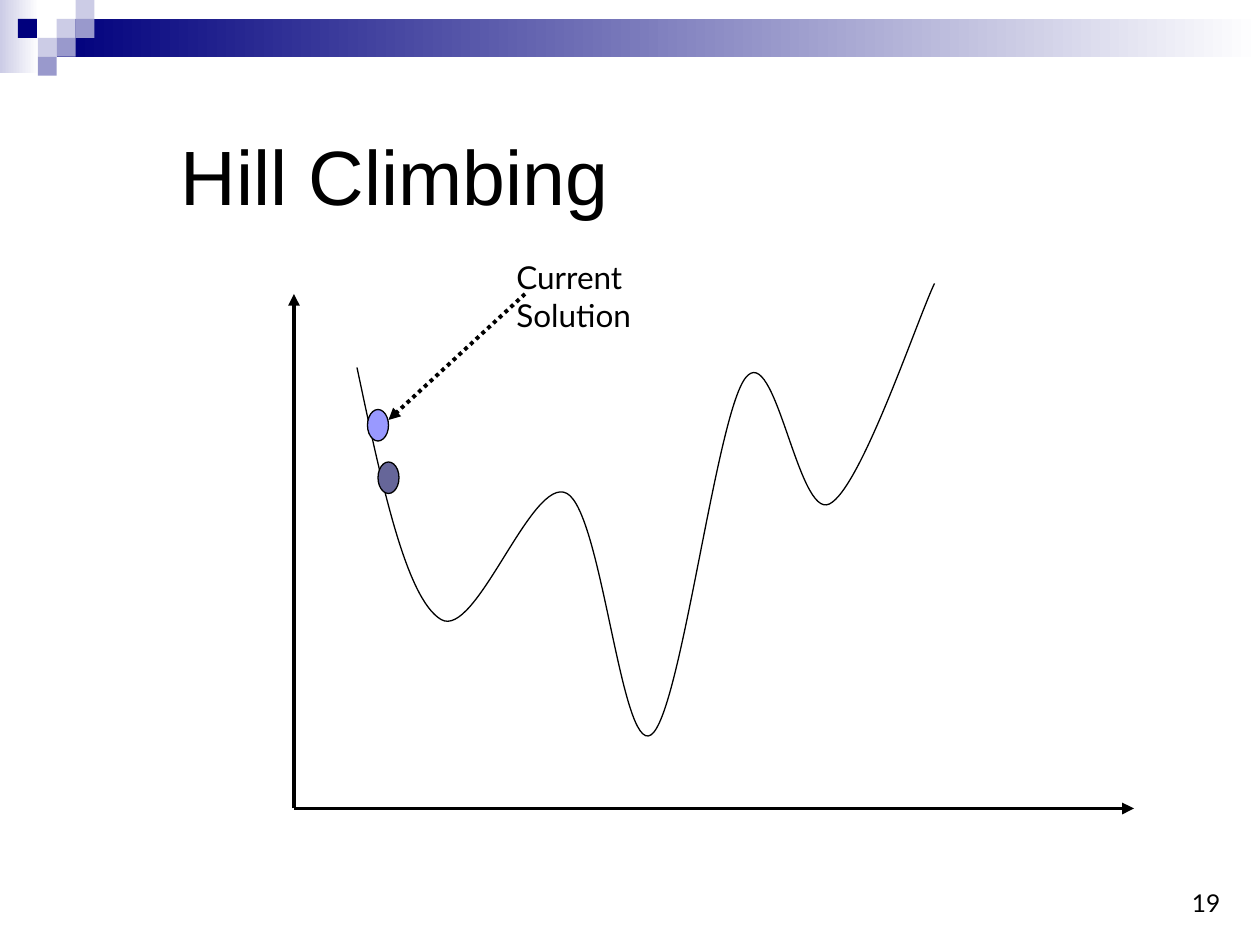
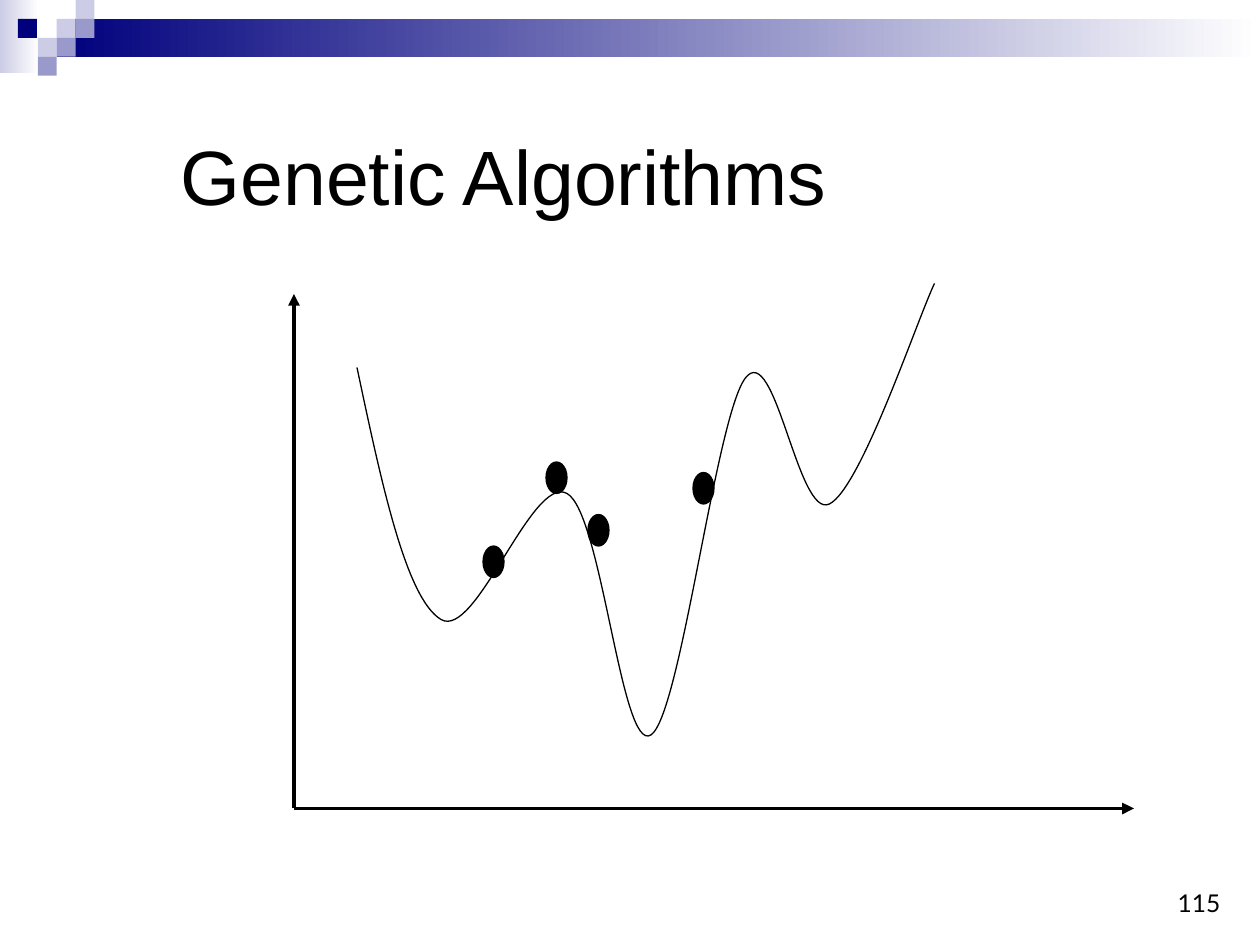
from collections import namedtuple
from dataclasses import dataclass

from lxml.etree import SubElement
from pptx import Presentation
from pptx.dml.color import RGBColor as Color
from pptx.enum.dml import MSO_LINE as Dash
from pptx.enum.shapes import MSO_CONNECTOR as Connector, MSO_SHAPE as Preset
from pptx.enum.text import MSO_ANCHOR as Anchor, MSO_AUTO_SIZE as AutoSize, PP_ALIGN as Align
from pptx.oxml.ns import qn
from pptx.util import Pt

Box = namedtuple("Box", "left top width height")
Marker = namedtuple("Marker", "left top color")


@dataclass(frozen=True)
class Theme:
    """Colours, fonts, type sizes and line widths of the deck."""

    ink: Color = Color.from_string("000000")
    white: Color = Color.from_string("FFFFFF")
    navy: Color = Color.from_string("00007D")
    lavender: Color = Color.from_string("CCCCE6")
    periwinkle: Color = Color.from_string("9999CC")
    current: Color = Color.from_string("9999FF")
    neighbour: Color = Color.from_string("666699")
    title_font: str = "Arial"
    text_font: str = "Lato"
    title_size: float = 44
    label_size: float = 18
    number_size: float = 14
    thin: float = 0.75
    thick: float = 2.25


THEME = Theme()
PAGE = Box(0, 0, 720, 540)
TITLE = Box(96, 67.5, 613.5, 65)
NUMBER = Box(554.5, 492, 150, 36)
PLOT = Box(168, 168, 480, 294)
LABEL = Box(120, -24, 84, 50)
MARKER_SIZE = (12, 18)
SQUARE = 10.8

CURVE_START = (36, 42)
CURVE_SEGMENTS = [
    [(50, 108), (64, 174), (84, 186)],
    [(104, 198), (136, 103), (156, 114)],
    [(176, 125), (187, 263), (204, 252)],
    [(221, 241), (241, 70), (258, 48)],
    [(275, 26), (288, 129), (306, 120)],
    [(324, 111), (356, 15), (366, -6)],
]
SEARCH_MARKERS = [Marker(42, 66, THEME.current), Marker(48, 96, THEME.neighbour)]
POPULATION = [
    Marker(left, top, THEME.ink)
    for left, top in [(144, 96), (108, 144), (168, 126), (228, 102)]
]


def points(values):
    """Convert numbers to lengths in points."""
    return [Pt(value) for value in values]


def within(box, *position):
    """Turn a position relative to a box into lengths on the page."""
    return points((box.left + position[0], box.top + position[1]))


def set_values(target, values):
    """Set the attributes of an object from a dict."""
    for name, value in values.items():
        setattr(target, name, value)


def draw_shape(shapes, preset, box, color, outline=None):
    """Add a preset shape with a solid fill and an optional outline."""
    shape = shapes.add_shape(preset, *points(box))
    shape.shadow.inherit = False
    shape.fill.solid()
    shape.fill.fore_color.rgb = color
    if outline is None:
        shape.line.fill.background()
    else:
        shape.line.color.rgb = outline
        shape.line.width = Pt(THEME.thin)
    return shape


def draw_fade(shapes, box, color):
    """Add a rectangle that fades from a colour to white, left to right."""
    fill = draw_shape(shapes, Preset.RECTANGLE, box, color).fill
    fill.gradient()
    fill.gradient_angle = 0
    for stop, shade in zip(fill.gradient_stops, (color, THEME.white)):
        stop.color.rgb = shade


def draw_arrow(page, start, end, dash=None):
    """Add a thick straight line with an arrowhead at its end."""
    arrow = page.shapes.add_connector(Connector.STRAIGHT, *start, *end)
    arrow.line.color.rgb = THEME.ink
    arrow.line.width = Pt(THEME.thick)
    if dash is not None:
        arrow.line.dash_style = dash
    properties = arrow.element.spPr
    SubElement(properties.find(qn("a:ln")), qn("a:tailEnd"), type="triangle")
    SubElement(properties, qn("a:effectLst"))


def write_text(shape, text, size, font, align=Align.LEFT, anchor=Anchor.TOP):
    """Write one formatted paragraph into a shape."""
    frame = shape.text_frame
    frame.text = text
    set_values(frame, {"word_wrap": True, "auto_size": AutoSize.NONE, "vertical_anchor": anchor})
    para = frame.paragraphs[0]
    para.alignment = align
    span = para.runs[0]
    set_values(span.font, {"name": font, "size": Pt(size)})
    span.font.color.rgb = THEME.ink


def decorate_master(page):
    """Build the header band and its squares and move them to the master."""
    group = page.shapes.add_group_shape()
    draw_fade(group.shapes, Box(0, 0, 22.3, 42), THEME.lavender)
    draw_fade(group.shapes, Box(3 * SQUARE, SQUARE, PAGE.width - 3 * SQUARE, 2 * SQUARE), THEME.navy)
    mosaic = {
        THEME.lavender: [(3, 1), (4, 0), (2, 2)],
        THEME.periwinkle: [(4, 1), (3, 2), (2, 3)],
        THEME.navy: [(0.95, 1)],
    }
    for color, cells in mosaic.items():
        for column, row in cells:
            box = Box(column * SQUARE, row * SQUARE, SQUARE, SQUARE)
            draw_shape(group.shapes, Preset.RECTANGLE, box, color)
    for number, properties in enumerate(group.element.xpath(".//p:cNvPr"), 100):
        properties.set("id", str(number))
    master = page.slide_layout.slide_master
    master.shapes.element.insert(2, group.element)


def draw_curve(page, box):
    """Draw the cost landscape as one open Bezier curve."""
    builder = page.shapes.build_freeform(*within(box, *CURVE_START), scale=1.0)
    vertices = [within(box, *point) for segment in CURVE_SEGMENTS for point in segment]
    builder.add_line_segments(vertices, close=False)
    curve = builder.convert_to_shape()
    outline = curve.element.find(".//" + qn("a:path"))
    lines = outline.findall(qn("a:lnTo"))
    for first in range(0, len(lines), 3):
        bezier = SubElement(outline, qn("a:cubicBezTo"))
        for line in lines[first:first + 3]:
            bezier.append(line[0])
            outline.remove(line)
    curve.shadow.inherit = False
    curve.fill.background()
    curve.line.color.rgb = THEME.ink
    curve.line.width = Pt(THEME.thin)


def draw_plot(page, box, markers):
    """Draw the axes, the curve and the solution markers in a box."""
    origin = within(box, 0, box.height)
    for tip in [(0, 0), (box.width, box.height)]:
        draw_arrow(page, origin, within(box, *tip))
    draw_curve(page, box)
    for marker in markers:
        spot = Box(box.left + marker.left, box.top + marker.top, *MARKER_SIZE)
        draw_shape(page.shapes, Preset.OVAL, spot, marker.color, THEME.ink)


def draw_callout(page, box, text):
    """Label the current solution and point a dotted arrow at it."""
    label = page.shapes.add_textbox(*within(box, LABEL.left, LABEL.top), *points(LABEL[2:]))
    write_text(label, text, THEME.label_size, THEME.text_font)
    draw_arrow(page, within(box, 132, 0), within(box, 54, 72), Dash.ROUND_DOT)


def write_heading(page, title, number):
    """Fill the title and the page number."""
    heading = page.shapes.title
    set_values(heading, dict(zip(Box._fields, points(TITLE))))
    write_text(heading, title, THEME.title_size, THEME.title_font, anchor=Anchor.MIDDLE)
    footer = page.shapes.add_textbox(*points(NUMBER))
    write_text(footer, number, THEME.number_size, THEME.text_font, Align.RIGHT, Anchor.BOTTOM)


def add_plot_page(deck, title, number, markers):
    """Add a page with a heading and a plot."""
    page = deck.slides.add_slide(deck.slide_layouts.get_by_name("Title Only"))
    write_heading(page, title, number)
    draw_plot(page, PLOT, markers)
    return page


def main():
    """Build and save the deck."""
    deck = Presentation()
    set_values(deck, {"slide_width": Pt(PAGE.width), "slide_height": Pt(PAGE.height)})
    climbing = add_plot_page(deck, "Hill Climbing", "19", SEARCH_MARKERS)
    draw_callout(climbing, PLOT, "Current Solution")
    decorate_master(climbing)
    add_plot_page(deck, "Genetic Algorithms", "115", POPULATION)
    deck.save("out.pptx")


if __name__ == "__main__":
    main()
